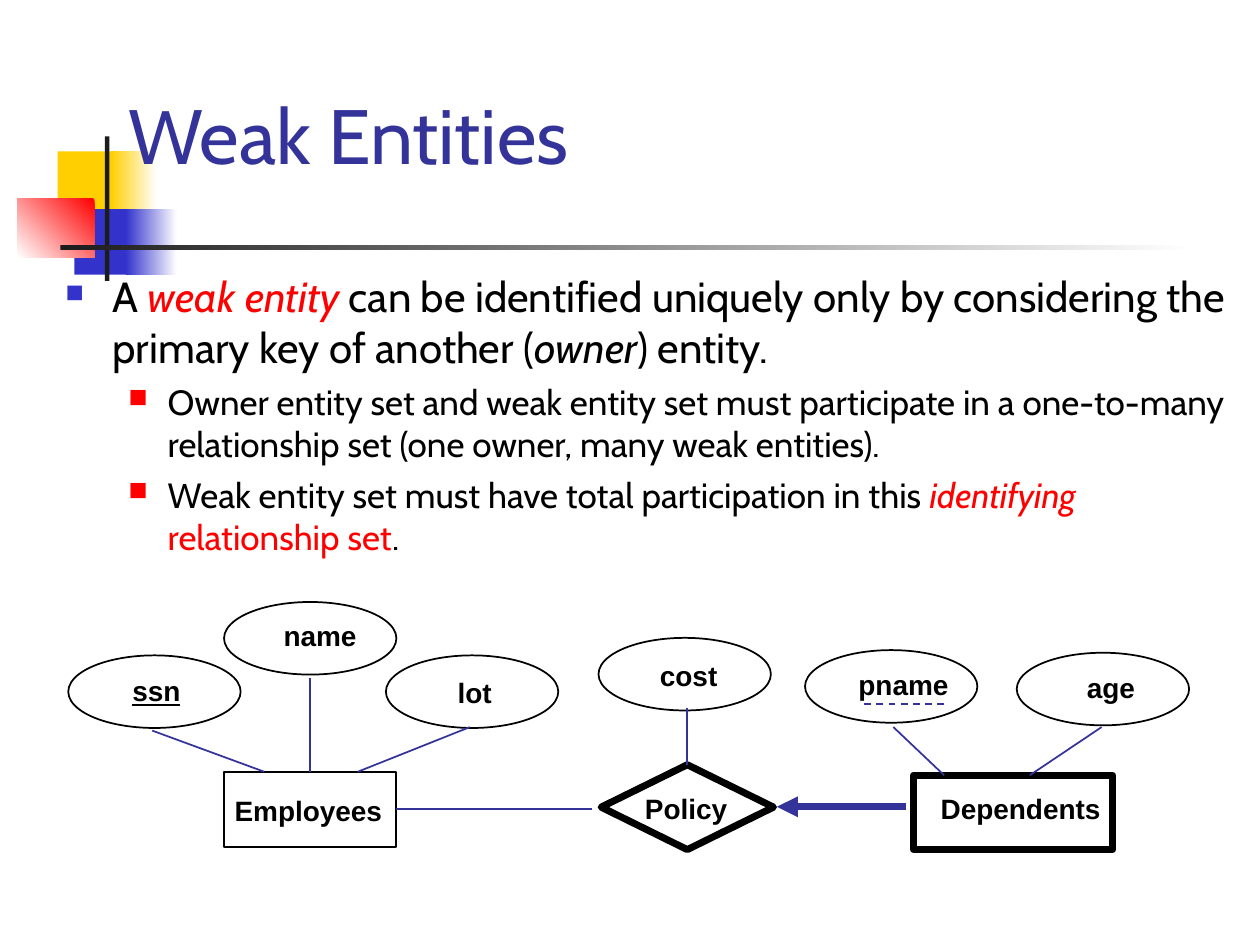
import pptx
import pptx.util
import pptx.dml.color
import pptx.enum.dml
import pptx.enum.shapes
import pptx.enum.text
import pptx.oxml
import pptx.oxml.ns

Pt = pptx.util.Pt
SHAPE = pptx.enum.shapes.MSO_SHAPE
AUTO_SIZE = pptx.enum.text.MSO_AUTO_SIZE

COLORS = {
    "black": "000000", "white": "FFFFFF", "ink": "1C1C1C", "red": "FF0000",
    "yellow": "FFCF01", "blue": "3333CC", "navy": "333399",
}

# Ornament bars: box, colour, angle of the fade to white (None is solid)
ORNAMENT = [
    ((33, 86.5, 34.5, 37.5), "yellow", None),
    ((63.5, 86.5, 26, 37.5), "yellow", 0),
    ((42.5, 119.5, 33, 37.5), "blue", None),
    ((72, 119.5, 29, 37.5), "blue", 0),
    ((10, 113.5, 44, 33.5), "red", 225),
    ((60, 78, 2.5, 82.5), "ink", None),
    ((34.5, 140.25, 648, 2.5), "ink", 0),
]

# Bullet formats by level
LEVELS = [
    {"size": 24, "margin": 27, "hang": 27, "before": 0, "color": "blue", "bullet": 60},
    {"size": 20, "margin": 58.5, "hang": 22.5, "before": 5, "color": "red", "bullet": 75},
]
RED, ITALIC = {"color": "red"}, {"italic": True}
BULLETS = [
    (0, [("A ", {}), ("weak entity ", {**RED, **ITALIC}),
         ("can be identified uniquely only by considering the primary key of another (", {}),
         ("owner", ITALIC), (") entity.", {})]),
    (1, [("Owner entity set and weak entity set must participate in a one-to-many "
          "relationship set (one owner, many weak entities).", {})]),
    (1, [("Weak entity set must have total participation in this ", {}),
         ("identifying ", {**RED, **ITALIC}), ("relationship set", RED), (".", {})]),
]

# Nodes: name, shape, box, line width, label box (left, top, width)
ATTR = (98.5, 41.5)
NODES = [
    ("cost", SHAPE.OVAL, (342, 364.5, *ATTR), 1, (370, 373, 49)),
    ("pname", SHAPE.OVAL, (460, 371.5, *ATTR), 1, (483.5, 378, 69)),
    ("age", SHAPE.OVAL, (581, 373, *ATTR), 1, (614, 379.5, 44)),
    ("ssn", SHAPE.OVAL, (39, 374.5, *ATTR), 1, (68.5, 381.5, 44)),
    ("lot", SHAPE.OVAL, (220.5, 374.5, *ATTR), 1, (254.5, 382.5, 36)),
    ("name", SHAPE.OVAL, (128, 344, *ATTR), 1, (155, 350, 58)),
    ("Employees", SHAPE.RECTANGLE, (128, 441, 98.5, 43), 1, (127, 450, 101)),
    ("Policy", SHAPE.DIAMOND, (343.5, 437, 98.5, 48.5), 4, (361.5, 448.5, 64)),
    ("Dependents", SHAPE.RECTANGLE, (522, 443, 114, 42.5), 4, (530.5, 448.5, 108)),
]

# Links: ends, node and side joined at the end, extra line format
LINKS = [
    ((539.5, 402.5, 491, 402.5), None, {"dash": True}),
    ((177.25, 387.5, 177.25, 441), ("Employees", 0), {}),
    ((87, 417.5, 151, 441), None, {}),
    ((268.5, 415.5, 204.5, 441), None, {}),
    ((392.75, 404.5, 392.75, 437), ("Policy", 0), {}),
    ((510.5, 415.5, 539.5, 443), None, {}),
    ((629.5, 415.5, 588.5, 443), None, {}),
    ((338.5, 462.5, 226.5, 462.5), ("Employees", 3), {}),
    ((444, 461, 517.5, 461), None, {"width": 4, "arrow": True}),
]


def rgb(name):
    return pptx.dml.color.RGBColor.from_string(COLORS[name])


def add_xml(parent, tag, **attrs):
    el = pptx.oxml.parse_xml(f"<a:{tag} {pptx.oxml.ns.nsdecls('a')}/>")
    for key, value in attrs.items():
        el.set(key, str(value))
    parent.append(el)
    return el


def add_run(p, text, color="black", **fmt):
    r = p.add_run()
    r.text = text
    r.font.color.rgb = rgb(color)
    for key, value in fmt.items():
        setattr(r.font, key, value)


def add_bar(s, box, color, angle):
    sp = s.shapes.add_shape(SHAPE.RECTANGLE, *map(Pt, box))
    sp.shadow.inherit = False
    sp.line.fill.background()
    if angle is None:
        sp.fill.solid()
        sp.fill.fore_color.rgb = rgb(color)
    else:
        sp.fill.gradient()
        sp.fill.gradient_angle = angle
        for stop, name in zip(sp.fill.gradient_stops, (color, "white")):
            stop.color.rgb = rgb(name)


def set_title(s, text):
    sp = s.shapes.title
    box = {"left": 66, "top": 33, "width": 612, "height": 87}
    for key, value in box.items():
        setattr(sp, key, Pt(value))
    s.shapes.element.append(sp.element)  # in front of the ornament
    tf = sp.text_frame
    tf.auto_size = AUTO_SIZE.NONE
    tf.vertical_anchor = pptx.enum.text.MSO_ANCHOR.MIDDLE
    p = tf.paragraphs[0]
    p.alignment = pptx.enum.text.PP_ALIGN.LEFT
    add_run(p, text, "navy", name="Cabin", size=Pt(44))


def add_bullets(s, box, items):
    tf = s.shapes.add_textbox(*map(Pt, box)).text_frame
    tf.word_wrap = True
    for i, (level, runs) in enumerate(items):
        fmt = LEVELS[level]
        p = tf.add_paragraph() if i else tf.paragraphs[0]
        p.level = level
        p.space_before = Pt(fmt["before"])
        pPr = p._p.get_or_add_pPr()
        pPr.set("marL", str(Pt(fmt["margin"])))
        pPr.set("indent", str(-Pt(fmt["hang"])))
        add_xml(add_xml(pPr, "buClr"), "srgbClr", val=COLORS[fmt["color"]])
        add_xml(pPr, "buSzPct", val=fmt["bullet"] * 1000)
        add_xml(pPr, "buChar", char="■")
        for text, style in runs:
            add_run(p, text, name="Cabin", size=Pt(fmt["size"]), **style)


def add_node(s, kind, box, width):
    sp = s.shapes.add_shape(kind, *map(Pt, box))
    sp.shadow.inherit = False
    sp.fill.background()
    sp.line.color.rgb = rgb("black")
    sp.line.width = Pt(width)
    return sp


def add_label(s, text, left, top, width):
    tf = s.shapes.add_textbox(Pt(left), Pt(top), Pt(width), Pt(26)).text_frame
    tf.word_wrap = False
    tf.auto_size = AUTO_SIZE.SHAPE_TO_FIT_TEXT
    add_run(tf.paragraphs[0], text, name="Arial", size=Pt(16), bold=True,
            underline=text == "ssn")


def add_link(s, ends, join=None, width=1, dash=False, arrow=False):
    cx = s.shapes.add_connector(pptx.enum.shapes.MSO_CONNECTOR.STRAIGHT, *map(Pt, ends))
    cx.line.color.rgb = rgb("navy")
    cx.line.width = Pt(width)
    if dash:
        cx.line.dash_style = pptx.enum.dml.MSO_LINE.DASH
    if arrow:
        add_xml(cx.line._get_or_add_ln(), "headEnd", type="triangle")
    add_xml(cx.element.spPr, "effectLst")
    if join:
        cx.end_connect(*join)


def main():
    prs = pptx.Presentation()
    prs.slide_width, prs.slide_height = Pt(720), Pt(540)
    s = prs.slides.add_slide(prs.slide_layouts[5])

    # Ornament, title and text
    for bar in ORNAMENT:
        add_bar(s, *bar)
    set_title(s, "Weak Entities")
    add_bullets(s, (30.25, 151.25, 689.75, 180), BULLETS)

    # Entity-relationship diagram
    nodes = {name: add_node(s, kind, box, width) for name, kind, box, width, _ in NODES}
    for name, *_, label in NODES:
        add_label(s, name, *label)
    for ends, join, fmt in LINKS:
        add_link(s, ends, join and (nodes[join[0]], join[1]), **fmt)

    prs.save("out.pptx")


if __name__ == "__main__":
    main()
